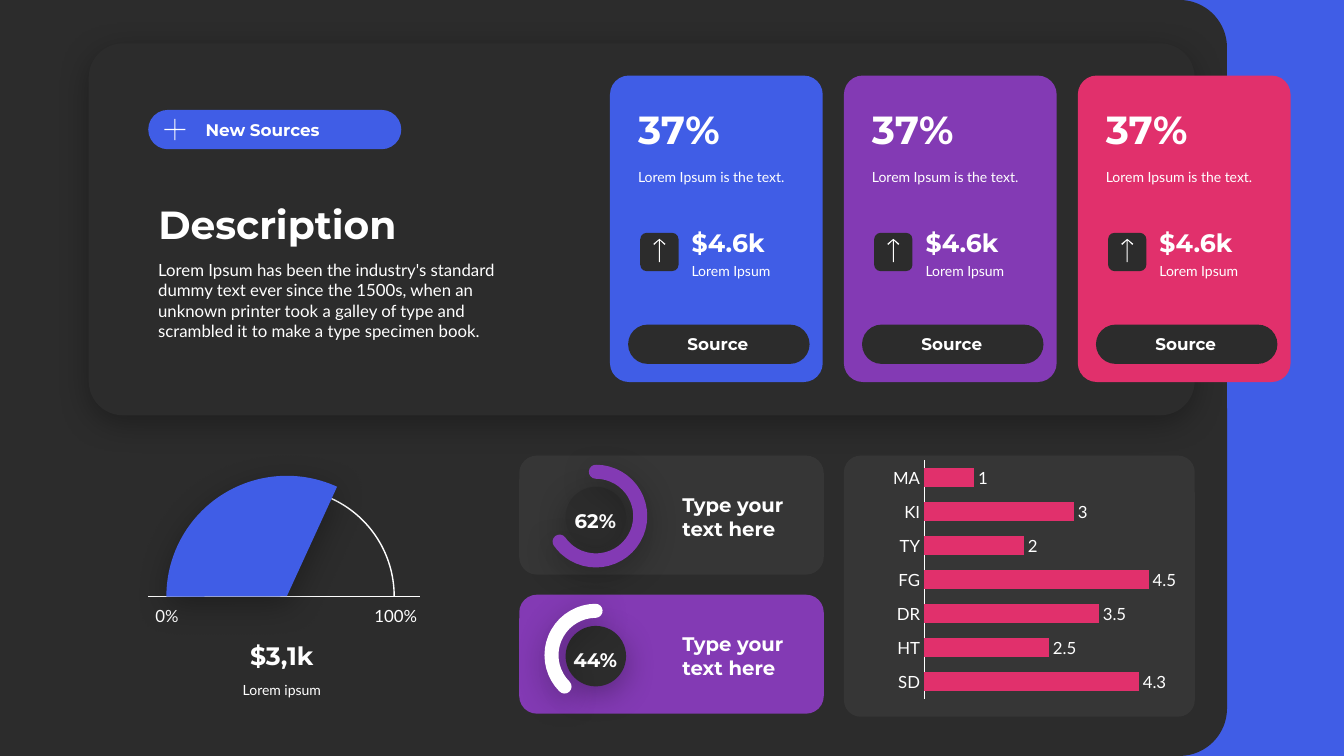
from dataclasses import dataclass

from lxml.etree import SubElement
from pptx import Presentation
from pptx.chart.data import CategoryChartData
from pptx.dml.color import RGBColor
from pptx.enum.chart import XL_CHART_TYPE, XL_LABEL_POSITION, XL_TICK_LABEL_POSITION, XL_TICK_MARK
from pptx.enum.shapes import MSO_CONNECTOR, MSO_SHAPE
from pptx.enum.text import MSO_ANCHOR, MSO_AUTO_SIZE, PP_ALIGN
from pptx.oxml.ns import qn
from pptx.util import Inches, Pt


@dataclass(frozen=True)
class Theme:
    dark: str = "2C2C2C"
    white: str = "FFFFFF"
    blue: str = "405DE6"
    purple: str = "833AB4"
    pink: str = "E1306C"
    head: str = "Montserrat"
    body: str = "Lato"
    small: int = 10
    normal: int = 12
    label: int = 14
    figure: int = 18
    title: int = 28


T = Theme()
FULL_TURN = 216


def rgb(color):
    return RGBColor.from_string(color)


def inches(box):
    return [Inches(v) for v in box]


def set_all(obj, values):
    for name, value in values.items():
        setattr(obj, name, value)


def set_font(font, size, name=T.body):
    set_all(font, {"name": name, "size": Pt(size), "bold": name == T.head})
    font.color.rgb = rgb(T.white)


def set_alpha(color_element, percent):
    SubElement(color_element, qn("a:alpha")).set("val", str(percent * 1000))


def add_shadow(sp):
    effects = sp.element.spPr.find(qn("a:effectLst"))
    shadow = SubElement(effects, qn("a:outerShdw"))
    values = {"blurRad": Pt(23), "dist": Pt(6), "dir": 5400000, "algn": "t", "rotWithShape": 0}
    for name, value in values.items():
        shadow.set(name, str(value))
    color = SubElement(shadow, qn("a:srgbClr"))
    color.set("val", "000000")
    set_alpha(color, 30)


def style_shape(sp, fill=None, alpha=None, shadow=False):
    sp.shadow.inherit = False
    sp.line.fill.background()
    if fill:
        sp.fill.solid()
        sp.fill.fore_color.rgb = rgb(fill)
        if alpha:
            set_alpha(sp.element.spPr.find(".//" + qn("a:srgbClr")), alpha)
    else:
        sp.fill.background()
    if shadow:
        add_shadow(sp)
    return sp


def add_block(s, kind, box, fill=None, adj=(), **style):
    sp = s.shapes.add_shape(kind, *inches(box))
    for i, value in enumerate(adj):
        sp.adjustments[i] = value
    return style_shape(sp, fill, **style)


def add_panel(s, box, fill, radius, **style):
    return add_block(s, MSO_SHAPE.ROUNDED_RECTANGLE, box, fill, [radius], **style)


def add_arc(s, box, start, end, fill=None, color=None, width=1, cap="flat", shadow=False):
    angles = [start / 360 * FULL_TURN, end / 360 * FULL_TURN]
    sp = add_block(s, MSO_SHAPE.ARC, box, fill, angles, shadow=shadow)
    if color:
        sp.line.color.rgb = rgb(color)
        sp.line.width = Pt(width)
        sp.line._get_or_add_ln().set("cap", cap)
    return sp


def write_text(sp, text, size, font=T.body, anchor=MSO_ANCHOR.TOP, align=PP_ALIGN.LEFT,
               side=0.1, top=0.05, wrap=True, after=0):
    tf = sp.text_frame
    set_all(tf, {
        "word_wrap": wrap, "auto_size": MSO_AUTO_SIZE.SHAPE_TO_FIT_TEXT,
        "vertical_anchor": anchor,
        "margin_left": Inches(side), "margin_right": Inches(side),
        "margin_top": Inches(top), "margin_bottom": Inches(top),
    })
    p = tf.paragraphs[0]
    set_all(p, {"alignment": align, "line_spacing": 1.0, "space_before": Pt(0), "space_after": Pt(after)})
    r = p.add_run()
    r.text = text
    set_font(r.font, size, font)


def add_text(s, box, text, size, font=T.body, **layout):
    write_text(s.shapes.add_textbox(*inches(box)), text, size, font, **layout)


def add_title(s, box, text):
    sp = s.shapes.title
    set_all(sp, dict(zip(("left", "top", "width", "height"), inches(box))))
    write_text(sp, text, T.title, T.head, anchor=MSO_ANCHOR.BOTTOM)
    s.shapes._spTree.append(sp.element)


def add_up_arrow(s, x, y):
    right = [(0.06, 0.05), (0.05, 0.06), (0.005, 0.015), (0.005, 0.23)]
    left = [(-dx, dy) for dx, dy in reversed(right)]
    points = [(Inches(x + dx), Inches(y + dy)) for dx, dy in right + left]
    builder = s.shapes.build_freeform(Inches(x), Inches(y), scale=1.0)
    builder.add_line_segments(points, close=True)
    style_shape(builder.convert_to_shape(), T.white)


def add_card(s, x, color):
    add_panel(s, (x, 0.75, 2.11, 3.04), color, 0.089)
    add_text(s, (x + 0.18, 1.62, 1.84, 0.27), "Lorem Ipsum is the text.", T.small)
    add_text(s, (x + 0.18, 0.99, 1.88, 0.57), "37%", T.title, T.head, anchor=MSO_ANCHOR.BOTTOM)
    add_panel(s, (x + 0.3, 2.31, 0.38, 0.38), T.dark, 0.167)
    add_up_arrow(s, x + 0.49, 2.37)
    add_text(s, (x + 0.81, 2.56, 1.04, 0.27), "Lorem Ipsum", T.small, side=0)
    add_text(s, (x + 0.81, 2.2, 1.04, 0.4), "$4.6k", T.figure, T.head, anchor=MSO_ANCHOR.BOTTOM, side=0)
    add_panel(s, (x + 0.18, 3.22, 1.8, 0.39), T.dark, 0.5)
    add_text(s, (x + 0.18, 3.26, 1.78, 0.3), "Source", T.normal, T.head,
             anchor=MSO_ANCHOR.MIDDLE, align=PP_ALIGN.CENTER)


def add_gauge(s):
    add_arc(s, (1.78, 4.85, 2.13, 2.13), 179.82, 0, color=T.white)
    base = s.shapes.add_connector(MSO_CONNECTOR.STRAIGHT, *inches((1.47, 5.92, 4.17, 5.92)))
    base.line.color.rgb = rgb(T.white)
    base.line.width = Pt(1)
    SubElement(base.element.spPr, qn("a:effectLst"))
    for x, width, text in ((1.54, 0.23, "0%"), (3.71, 0.43, "100%")):
        add_text(s, (x, 6.01, width, 0.2), text, T.normal, anchor=MSO_ANCHOR.MIDDLE,
                 align=PP_ALIGN.CENTER, side=0, top=0, wrap=False)
    add_arc(s, (1.65, 4.72, 2.39, 2.39), 179.82, 294.61, fill=T.blue, shadow=True)
    add_text(s, (1.59, 6.71, 2.41, 0.27), "Lorem ipsum", T.small, align=PP_ALIGN.CENTER, after=6)
    add_text(s, (1.59, 6.3, 2.41, 0.4), "$3,1k", T.figure, T.head, anchor=MSO_ANCHOR.BOTTOM,
             align=PP_ALIGN.CENTER, side=0.08, after=6)


def add_dial(s, y, value, start, end, color, panel, alpha=None):
    add_panel(s, (5.15, y, 3.02, 1.18), panel, 0.148, alpha=alpha)
    add_block(s, MSO_SHAPE.OVAL, (5.61, y + 0.31, 0.6, 0.6), T.dark, shadow=True)
    add_text(s, (5.57, y + 0.47, 0.67, 0.34), value, T.label, T.head,
             anchor=MSO_ANCHOR.BOTTOM, align=PP_ALIGN.CENTER)
    add_arc(s, (5.47, y + 0.16, 0.88, 0.88), start, end, color=color, width=10, cap="rnd", shadow=True)
    add_text(s, (6.67, y + 0.32, 1.3, 0.57), "Type your text here", T.label, T.head,
             anchor=MSO_ANCHOR.MIDDLE)


def add_bars(s, box):
    data = CategoryChartData()
    data.categories = ["SD", "HT", "DR", "FG", "TY", "KI", "MA"]
    data.add_series("Series 1", [4.3, 2.5, 3.5, 4.5, 2, 3, 1])
    chart = s.shapes.add_chart(XL_CHART_TYPE.BAR_CLUSTERED, *inches(box), data).chart
    set_all(chart, {"has_legend": False, "has_title": False})
    set_font(chart.font, T.small)
    set_all(chart.value_axis, {"visible": False, "has_major_gridlines": False,
                               "minimum_scale": 0, "maximum_scale": 5})
    axis = chart.category_axis
    set_all(axis, {"has_major_gridlines": False, "major_tick_mark": XL_TICK_MARK.NONE,
                   "minor_tick_mark": XL_TICK_MARK.NONE,
                   "tick_label_position": XL_TICK_LABEL_POSITION.NEXT_TO_AXIS})
    set_font(axis.tick_labels.font, T.normal)
    axis.format.line.color.rgb = rgb(T.white)
    axis.format.line.width = Pt(0.75)
    plot = chart.plots[0]
    set_all(plot, {"gap_width": 75, "vary_by_categories": False})
    series = plot.series[0]
    series.format.fill.solid()
    series.format.fill.fore_color.rgb = rgb(T.pink)
    labels = series.data_labels
    set_all(labels, {"show_value": True, "position": XL_LABEL_POSITION.OUTSIDE_END})
    set_font(labels.font, T.normal)


def main():
    prs = Presentation()
    set_all(prs, {"slide_width": Inches(13.33), "slide_height": Inches(7.5)})
    s = prs.slides.add_slide(prs.slide_layouts[5])
    s.background.fill.solid()
    s.background.fill.fore_color.rgb = rgb(T.dark)
    add_block(s, MSO_SHAPE.RECTANGLE, (10.84, 0, 2.49, 7.5), T.blue)
    add_panel(s, (0, 0, 12.17, 7.5), T.dark, 0.063)
    add_panel(s, (0.88, 0.43, 10.97, 3.69), T.dark, 0.092, shadow=True)
    for i, color in enumerate((T.blue, T.purple, T.pink)):
        add_card(s, 6.05 + 2.32 * i, color)
    add_panel(s, (1.47, 1.09, 2.51, 0.39), T.blue, 0.5)
    add_text(s, (1.94, 1.14, 2.02, 0.3), "New Sources", T.normal, T.head, anchor=MSO_ANCHOR.MIDDLE)
    add_block(s, MSO_SHAPE.CROSS, (1.63, 1.18, 0.21, 0.21), T.white, [0.475])
    add_title(s, (1.47, 1.93, 3.68, 0.57), "Description")
    add_text(s, (1.47, 2.53, 3.68, 0.91),
             "Lorem Ipsum has been the industry's standard dummy text ever since the 1500s, "
             "when an unknown printer took a galley of type and scrambled it to make a type "
             "specimen book.", T.normal)
    add_gauge(s)
    add_dial(s, 4.52, "62%", 270, 144.91, T.purple, T.white, alpha=5)
    add_dial(s, 5.9, "44%", 134.91, 269.66, T.white, T.purple)
    add_panel(s, (8.37, 4.52, 3.48, 2.59), T.white, 0.064, alpha=5)
    add_bars(s, (8.8, 4.52, 2.9, 2.46))
    prs.save("out.pptx")


if __name__ == "__main__":
    main()
